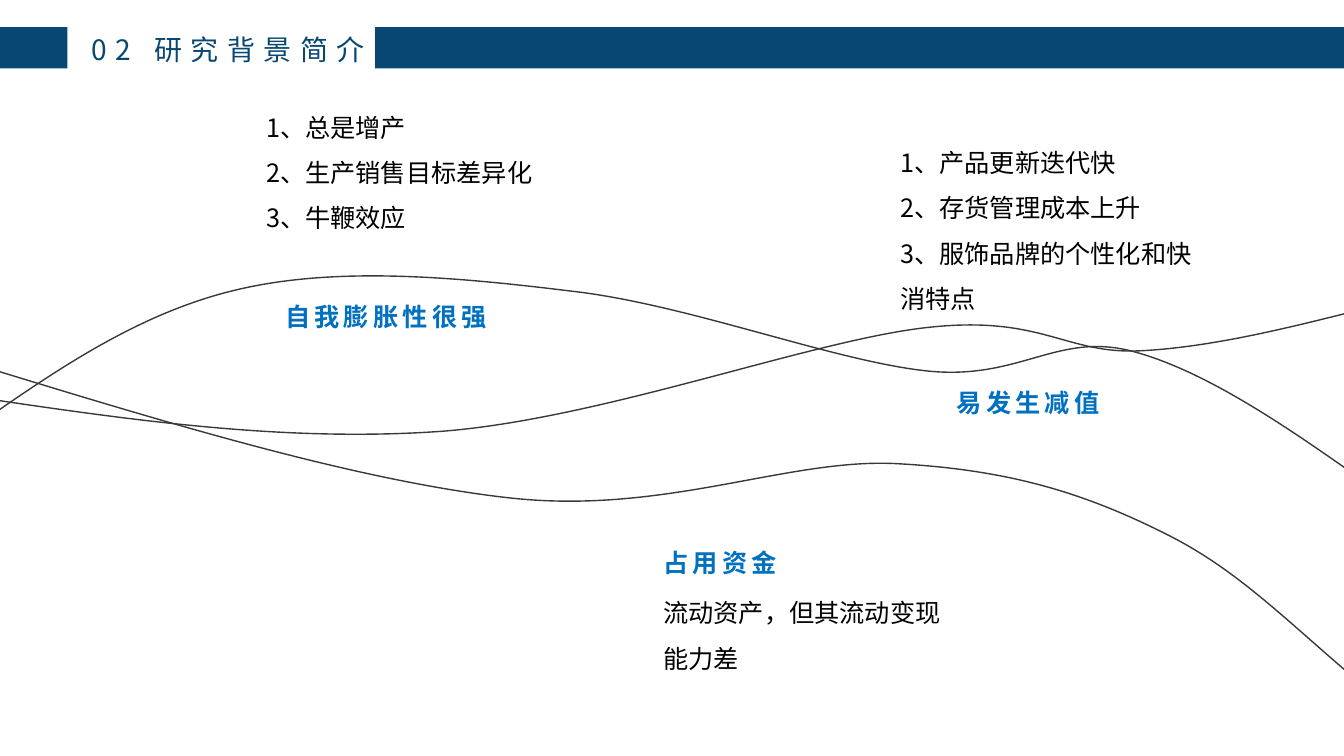
from lxml.etree import SubElement
from pptx import Presentation
from pptx.dml.color import RGBColor
from pptx.enum.shapes import MSO_SHAPE as Preset
from pptx.enum.text import MSO_ANCHOR as Anchor, MSO_AUTO_SIZE as AutoSize, PP_ALIGN as Align
from pptx.oxml.ns import qn
from pptx.util import Inches, Pt

COLORS = {"navy": "084772", "blue": "0070C0", "black": "000000", "curve": "3D3836"}
FONT = "Noto Sans CJK SC"
TITLE = {"size": 20, "bold": False, "color": "navy", "spacing": 6, "align": Align.RIGHT}
HEADING = {"size": 18, "bold": True, "color": "blue", "spacing": 3}
BODY = {"size": 18, "bold": False, "color": "black", "line_spacing": 1.5, "wrap": True}

HEADINGS = [
    ("自我膨胀性很强", (2.73, 2.94, 2.26, 0.4)),
    ("易发生减值", (9.39, 3.79, 1.67, 0.4)),
    ("占用资金", (6.48, 5.38, 1.38, 0.4)),
]
LISTS = [
    (["1、总是增产", "2、生产销售目标差异化", "3、牛鞭效应"], (2.54, 0.91, 3.17, 1.41)),
    (["1、产品更新迭代快", "2、存货管理成本上升", "3、服饰品牌的个性化和快消特点"],
     (8.83, 1.26, 3.12, 1.87)),
]
CURVES = [
    [(-0.3, 4.27), (0.53, 3.69), (1.37, 3.1), (2.37, 2.87), (3.36, 2.64), (4.54, 2.75),
     (5.68, 2.89), (6.82, 3.02), (8.26, 3.58), (9.19, 3.68), (10.12, 3.78), (10.49, 3.28),
     (11.25, 3.49), (12.02, 3.7), (12.89, 4.32), (13.76, 4.94)],
    [(-0.32, 3.59), (1.6, 4.18), (3.53, 4.77), (5.06, 4.94), (6.6, 5.11), (7.82, 4.54),
     (8.9, 4.6), (9.99, 4.66), (10.73, 4.88), (11.55, 5.29), (12.38, 5.7), (12.87, 6.29),
     (13.86, 7.08)],
    [(-0.31, 3.93), (1.24, 4.16), (2.79, 4.39), (4.37, 4.28), (5.96, 4.16), (8.03, 3.38),
     (9.19, 3.25), (10.34, 3.12), (10.56, 3.52), (11.32, 3.48), (12.08, 3.44), (12.91, 3.22),
     (13.74, 3.01)],
]


class SlideBuilder:
    def __init__(self, page):
        self.page = page

    def color(self, name):
        return RGBColor.from_string(COLORS[name])

    def fill_text(self, box, lines, place, style):
        for name, value in zip(("left", "top", "width", "height"), place):
            setattr(box, name, Inches(value))
        frame = box.text_frame
        frame.text = "\n".join(lines)
        frame_format = {"word_wrap": style.get("wrap", False), "auto_size": AutoSize.SHAPE_TO_FIT_TEXT,
                        "vertical_anchor": Anchor.TOP}
        para_format = {"alignment": style.get("align", Align.LEFT), "space_before": Pt(0),
                       "line_spacing": style.get("line_spacing", 1.0)}
        span_format = {"name": FONT, "size": Pt(style["size"]), "bold": style["bold"]}
        for name, value in frame_format.items():
            setattr(frame, name, value)
        for para in frame.paragraphs:
            for name, value in para_format.items():
                setattr(para, name, value)
            properties = para._p.get_or_add_pPr()
            properties.set("marL", "0")
            properties.set("indent", "0")
            SubElement(properties, qn("a:buNone"))
            for span in para.runs:
                for name, value in span_format.items():
                    setattr(span.font, name, value)
                span.font.color.rgb = self.color(style["color"])
                run_properties = span._r.get_or_add_rPr()
                run_properties.set("lang", "zh-CN")
                run_properties.set("spc", str(style.get("spacing", 0) * 100))
                SubElement(run_properties, qn("a:ea"), typeface=FONT)

    def text(self, lines, place, style):
        box = self.page.shapes.add_textbox(*map(Inches, place))
        self.fill_text(box, lines, place, style)

    def placeholder(self, index, lines, place, style):
        self.fill_text(self.page.placeholders[index], lines, place, style)

    def bar(self, left, width):
        shape = self.page.shapes.add_shape(
            Preset.RECTANGLE, Inches(left), Inches(0.27), Inches(width), Inches(0.41))
        shape.shadow.inherit = False
        shape.fill.solid()
        shape.fill.fore_color.rgb = self.color("navy")
        shape.line.fill.background()

    def curve(self, points):
        start, *rest = [(Inches(x), Inches(y)) for x, y in points]
        builder = self.page.shapes.build_freeform(*start)
        builder.add_line_segments(rest, close=False)
        shape = builder.convert_to_shape()
        shape.shadow.inherit = False
        shape.fill.background()
        shape.line.color.rgb = self.color("curve")
        shape.line.width = Pt(1)
        outline = next(shape._element.iter(qn("a:path")))
        segments = outline.findall(qn("a:lnTo"))
        for first in range(0, len(segments), 3):
            bezier = SubElement(outline, qn("a:cubicBezTo"))
            for segment in segments[first:first + 3]:
                bezier.append(segment[0])
                outline.remove(segment)


def main():
    deck = Presentation()
    deck.slide_width, deck.slide_height = Inches(13.33), Inches(7.5)
    slide = SlideBuilder(deck.slides.add_slide(deck.slide_layouts[3]))
    slide.placeholder(0, ["02 研究背景简介"], (0.67, 0.27, 3.05, 0.44), TITLE)
    for index, (lines, place) in enumerate(LISTS, start=1):
        slide.placeholder(index, lines, place, BODY)
    for points in CURVES:
        slide.curve(points)
    for heading, place in HEADINGS:
        slide.text([heading], place, HEADING)
    slide.text(["流动资产，但其流动变现能力差"], (6.48, 5.73, 3.14, 0.96), BODY)
    slide.bar(0, 0.67)
    slide.bar(3.72, 9.61)
    deck.save("out.pptx")


if __name__ == "__main__":
    main()
